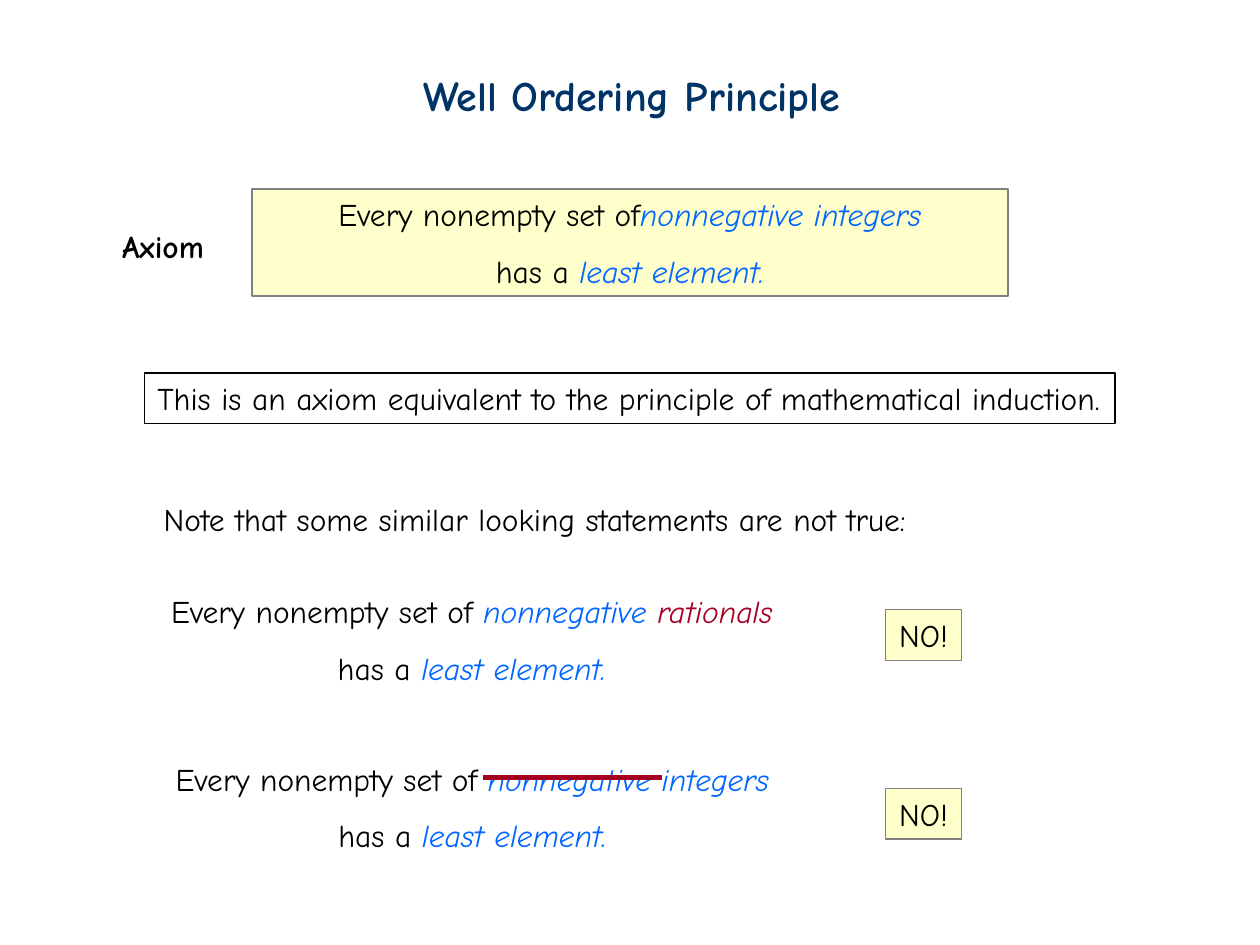
import pptx
import pptx.util
import pptx.dml.color
import pptx.enum.shapes
import pptx.enum.text
import pptx.oxml.ns
import lxml.etree

Inches = pptx.util.Inches
FONT = "Comic Neue"
BLACK, BLUE, RED, NAVY = "000000", "0066FF", "A50021", "003366"
CREAM, GRAY = "FFFFCC", "808080"
LEAST_ELEMENT = [("has a ", BLACK), ("least element.", BLUE)]


def color(hex_code):
    """Return the colour for a hex string."""
    return pptx.dml.color.RGBColor.from_string(hex_code)


def write(frame, lines, size=18, bold=False, centered=False, wrap=False):
    """Fill a text frame with lines of (text, colour) pieces; coloured emphasis is italic."""
    frame.word_wrap = wrap
    frame.auto_size = pptx.enum.text.MSO_AUTO_SIZE.SHAPE_TO_FIT_TEXT
    frame.vertical_anchor = pptx.enum.text.MSO_ANCHOR.TOP
    align = pptx.enum.text.PP_ALIGN
    for index, pieces in enumerate(lines):
        paragraph = frame.add_paragraph() if index else frame.paragraphs[0]
        paragraph.alignment = align.CENTER if centered else align.LEFT
        if index:
            paragraph.line_spacing = 1.5
        for text, hex_code in pieces:
            run = paragraph.add_run()
            run.text = text
            run.font.name = FONT
            run.font.size = pptx.util.Pt(size)
            run.font.bold = bold
            run.font.italic = hex_code in (BLUE, RED)
            run.font.color.rgb = color(hex_code)


def add_label(slide, left, top, width, height, lines, **style):
    """Place plain text in the given box."""
    label = slide.shapes.add_textbox(Inches(left), Inches(top), Inches(width), Inches(height))
    write(label.text_frame, lines, **style)


def add_panel(slide, left, top, width, height, lines, fill=CREAM, outline=GRAY, **style):
    """Place text in an outlined rectangle."""
    panel = slide.shapes.add_shape(
        pptx.enum.shapes.MSO_SHAPE.RECTANGLE,
        Inches(left), Inches(top), Inches(width), Inches(height))
    panel.shadow.inherit = False
    if fill:
        panel.fill.solid()
        panel.fill.fore_color.rgb = color(fill)
    else:
        panel.fill.background()
    panel.line.color.rgb = color(outline)
    panel.line.width = pptx.util.Pt(0.75)
    write(panel.text_frame, lines, **style)


def add_strike(slide, left, top, width):
    """Draw a thick red line across a word."""
    strike = slide.shapes.add_connector(
        pptx.enum.shapes.MSO_CONNECTOR.STRAIGHT,
        Inches(left), Inches(top), Inches(left + width), Inches(top))
    strike.line.color.rgb = color(RED)
    strike.line.width = pptx.util.Pt(3)
    lxml.etree.SubElement(strike._element.spPr, pptx.oxml.ns.qn("a:effectLst"))


def add_axiom(slide, left, top):
    """Place the axiom panel with its heading on the left."""
    statement = [("Every nonempty set of", BLACK), ("nonnegative integers", BLUE)]
    add_panel(slide, left + 1.13, top, 6, 0.85, [statement, LEAST_ELEMENT],
              centered=True, wrap=True)
    add_label(slide, left, top + 0.25, 0.85, 0.4, [[("Axiom", BLACK)]], bold=True)


def add_false_claim(slide, left, top, width, kinds, verdict_drop):
    """Place a false statement and its verdict on the right."""
    statement = [("Every nonempty set of ", BLACK)] + kinds
    add_label(slide, left, top, width, 0.85, [statement, LEAST_ELEMENT],
              centered=True, wrap=True)
    add_panel(slide, 7.03, top + verdict_drop, 0.6, 0.4, [[("NO!", BLACK)]],
              centered=True)


def build_slide(slide):
    """Lay out the whole slide from title to false claims."""
    add_label(slide, 3.26, 0.5, 3.54, 0.5, [[("Well Ordering Principle", NAVY)]],
              size=24, bold=True)
    add_axiom(slide, 0.87, 1.5)
    equivalence = "This is an axiom equivalent to the principle of mathematical induction."
    add_panel(slide, 1.15, 2.96, 7.7, 0.4, [[(equivalence, BLACK)]],
              fill=None, outline=BLACK)
    note = "Note that some similar looking statements are not true:"
    add_label(slide, 1.2, 3.92, 6.12, 0.4, [[(note, BLACK)]])
    add_false_claim(slide, 0.91, 4.65, 5.67,
                    [("nonnegative ", BLUE), ("rationals", RED)], 0.19)
    add_false_claim(slide, 0.75, 5.98, 6, [("nonnegative integers", BLUE)], 0.28)
    add_strike(slide, 3.83, 6.17, 1.42)


def main():
    """Create and save the presentation."""
    deck = pptx.Presentation()
    deck.slide_width, deck.slide_height = Inches(10), Inches(7.5)
    build_slide(deck.slides.add_slide(deck.slide_layouts[6]))
    deck.save("out.pptx")


if __name__ == "__main__":
    main()
